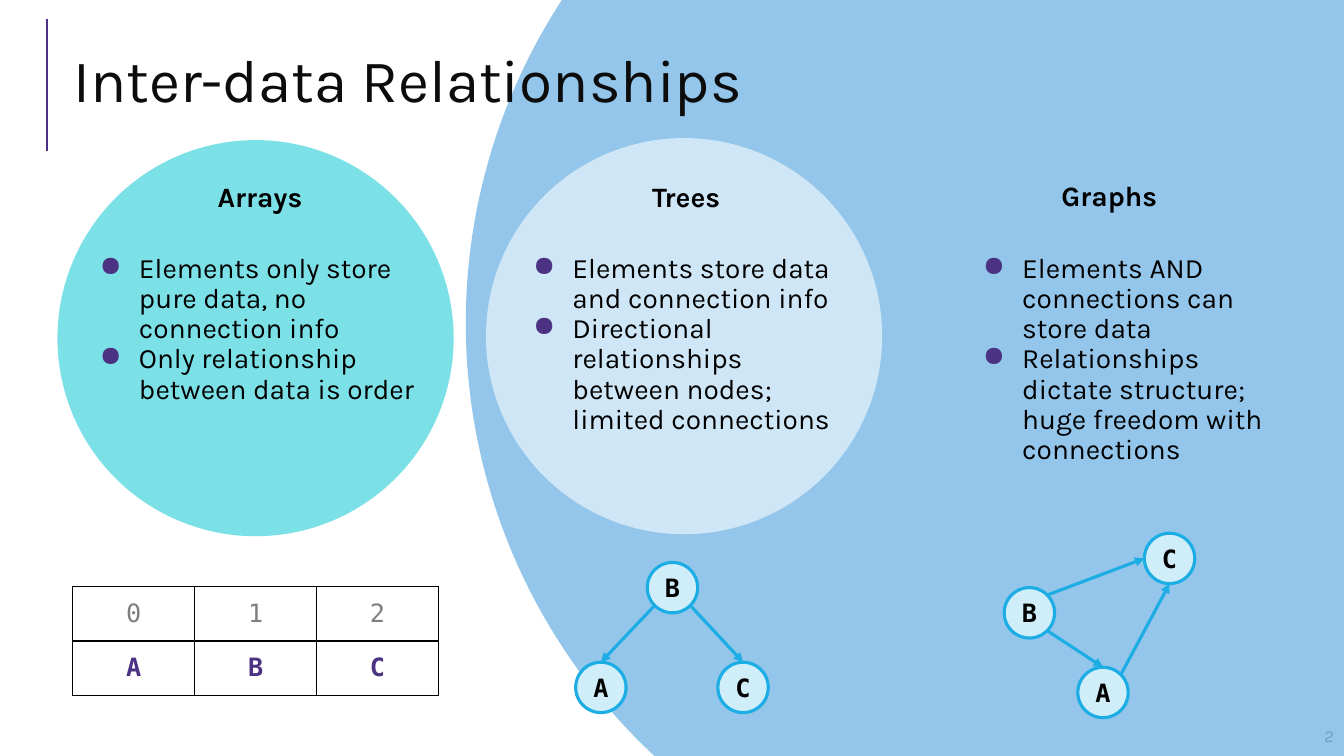
import math
import pptx
import pptx.util
import pptx.dml.color
import pptx.enum.shapes
import pptx.enum.text
import pptx.oxml.ns
from lxml import etree

Inches, Pt = pptx.util.Inches, pptx.util.Pt
SHAPE = pptx.enum.shapes.MSO_SHAPE
ALIGN = pptx.enum.text.PP_ALIGN
ANCHOR = pptx.enum.text.MSO_ANCHOR

HUES = {
    "ink": "000000", "title": "0C0C0C", "plum": "4C3282", "white": "FFFFFF",
    "sky": "73B5E4", "teal": "7CE1E7", "pale": "CFE6F6", "node": "D0EEF9",
    "edge": "1CADE4", "index": "7F7F7F", "page": "595959",
}
SANS, MONO = "Karla", "DejaVu Sans Mono"

TITLE = "Inter-data Relationships"
# left, top, size, fill, opacity in percent
DISCS = [
    (4.62, -2.66, 11.73, "sky", 77),
    (0.57, 1.39, 3.93, "teal", 100),
    (4.82, 1.37, 3.93, "pale", 100),
]
# heading, heading left, heading top, list left, list width, points
TOPICS = [
    ("Arrays", 2.06, 1.73, 0.78, 3.5,
     ["Elements only store pure data, no connection info",
      "Only relationship between data is order"]),
    ("Trees", 6.37, 1.73, 5.08, 3.4,
     ["Elements store data and connection info",
      "Directional relationships between nodes; limited connections"]),
    ("Graphs", 10.43, 1.72, 9.54, 3.4,
     ["Elements AND connections can store data",
      "Relationships dictate structure; huge freedom with connections"]),
]
ARRAY = [["0", "1", "2"], ["A", "B", "C"]]
# nodes: left, top; edges: from, angle on its rim, to, angle on its rim
NETS = [
    ({"B": (6.42, 5.58), "A": (5.71, 6.57), "C": (7.12, 6.57)},
     [("B", 135, "A", 270), ("B", 45, "C", 270)]),
    ({"B": (9.96, 5.83), "A": (10.69, 6.62), "C": (11.35, 5.29)},
     [("B", 45, "A", 270), ("B", 315, "C", 180), ("A", 315, "C", 90)]),
]
NODE = 0.5

deck = pptx.Presentation()
deck.slide_width, deck.slide_height = Inches(13.33), Inches(7.5)
slide = deck.slides.add_slide(deck.slide_layouts[6])


def hue(name):
    return pptx.dml.color.RGBColor.from_string(HUES[name])


def add_xml(parent, tag, **attrs):
    return etree.SubElement(parent, pptx.oxml.ns.qn(tag), attrs)


def style(para, size, color, face=SANS, bold=False, align=ALIGN.LEFT):
    para.alignment = align
    for run in para.runs:
        font = run.font
        font.size, font.name, font.bold = Pt(size), face, bold
        font.color.rgb = hue(color)


def add_text(left, top, width, height, lines, anchor=ANCHOR.TOP):
    box = slide.shapes.add_textbox(*map(Inches, (left, top, width, height)))
    frame = box.text_frame
    frame.word_wrap = True
    frame.vertical_anchor = anchor
    frame.text = "\n".join(lines)
    return frame.paragraphs


def add_disc(left, top, size, fill, alpha=100):
    disc = slide.shapes.add_shape(
        SHAPE.OVAL, *map(Inches, (left, top, size, size)))
    disc.shadow.inherit = False
    disc.fill.solid()
    disc.fill.fore_color.rgb = hue(fill)
    disc.line.fill.background()
    if alpha < 100:
        tint = disc.fill._xPr.find(".//" + pptx.oxml.ns.qn("a:srgbClr"))
        add_xml(tint, "a:alpha", val=str(alpha * 1000))
    return disc


def add_line(start, end, color, width, arrow=False):
    line = slide.shapes.add_connector(
        pptx.enum.shapes.MSO_CONNECTOR.STRAIGHT, *map(Inches, start + end))
    line.line.color.rgb = hue(color)
    line.line.width = Pt(width)
    if arrow:
        add_xml(line.line._get_or_add_ln(), "a:tailEnd", type="triangle")
    add_xml(line._element.spPr, "a:effectLst")


def add_bullet(para):
    props = para._p.get_or_add_pPr()
    props.set("marL", str(Inches(0.5)))
    props.set("indent", str(Inches(-0.39)))
    color = add_xml(props, "a:buClr")
    add_xml(color, "a:srgbClr", val=HUES["plum"])
    add_xml(props, "a:buChar", char="●")


def add_node(label, spot):
    node = add_disc(*spot, NODE, "node")
    node.line.color.rgb = hue("edge")
    node.line.width = Pt(2.25)
    frame = node.text_frame
    frame.margin_left = frame.margin_right = 0
    frame.margin_top = frame.margin_bottom = 0
    frame.word_wrap = False
    frame.vertical_anchor = ANCHOR.MIDDLE
    frame.text = label
    style(frame.paragraphs[0], 18, "ink", MONO, True, ALIGN.CENTER)


def rim(spot, angle):
    """Point on a node's rim, with the angle clockwise from the right."""
    turn, half = math.radians(angle), NODE / 2
    return (spot[0] + half + half * math.cos(turn),
            spot[1] + half + half * math.sin(turn))


def add_border(cell):
    props = cell._tc.get_or_add_tcPr()
    for place, side in enumerate(("a:lnL", "a:lnR", "a:lnT", "a:lnB")):
        edge = etree.Element(pptx.oxml.ns.qn(side), w=str(Pt(1)))
        fill = add_xml(edge, "a:solidFill")
        add_xml(fill, "a:srgbClr", val=HUES["ink"])
        props.insert(place, edge)


def add_array():
    rows, cols = len(ARRAY), len(ARRAY[0])
    table = slide.shapes.add_table(
        rows, cols, Inches(0.72), Inches(5.82),
        Inches(1.21 * cols), Inches(0.54 * rows)).table
    for r, row in enumerate(ARRAY):
        for c, text in enumerate(row):
            cell = table.cell(r, c)
            cell.fill.solid()
            cell.fill.fore_color.rgb = hue("white")
            cell.vertical_anchor = ANCHOR.MIDDLE
            cell.text = text
            style(cell.text_frame.paragraphs[0], 18,
                  "plum" if r else "index", MONO, r > 0, ALIGN.CENTER)
            add_border(cell)


add_line((0.47, 1.5), (0.47, 0.19), "plum", 1.5)
page = add_text(8.65, 7.1, 4.68, 0.4, ["2"], ANCHOR.MIDDLE)[0]
style(page, 12, "page", align=ALIGN.RIGHT)

for disc in DISCS:
    add_disc(*disc)

title = add_text(0.63, 0.29, 12.23, 1.11, [TITLE], ANCHOR.MIDDLE)[0]
title.line_spacing = 0.8
style(title, 43, "title")

for head, head_x, head_y, list_x, width, points in TOPICS:
    style(add_text(head_x, head_y, 1.6, 0.44, [head])[0], 20, "ink", bold=True)
    for para in add_text(list_x, 2.47, width, 2.22, points):
        add_bullet(para)
        para.line_spacing = 0.9
        style(para, 20, "ink")

add_array()

for nodes, edges in NETS:
    for label, spot in nodes.items():
        add_node(label, spot)
    for tail, out, head, into in edges:
        add_line(rim(nodes[tail], out), rim(nodes[head], into),
                 "edge", 2.25, arrow=True)

deck.save("out.pptx")
